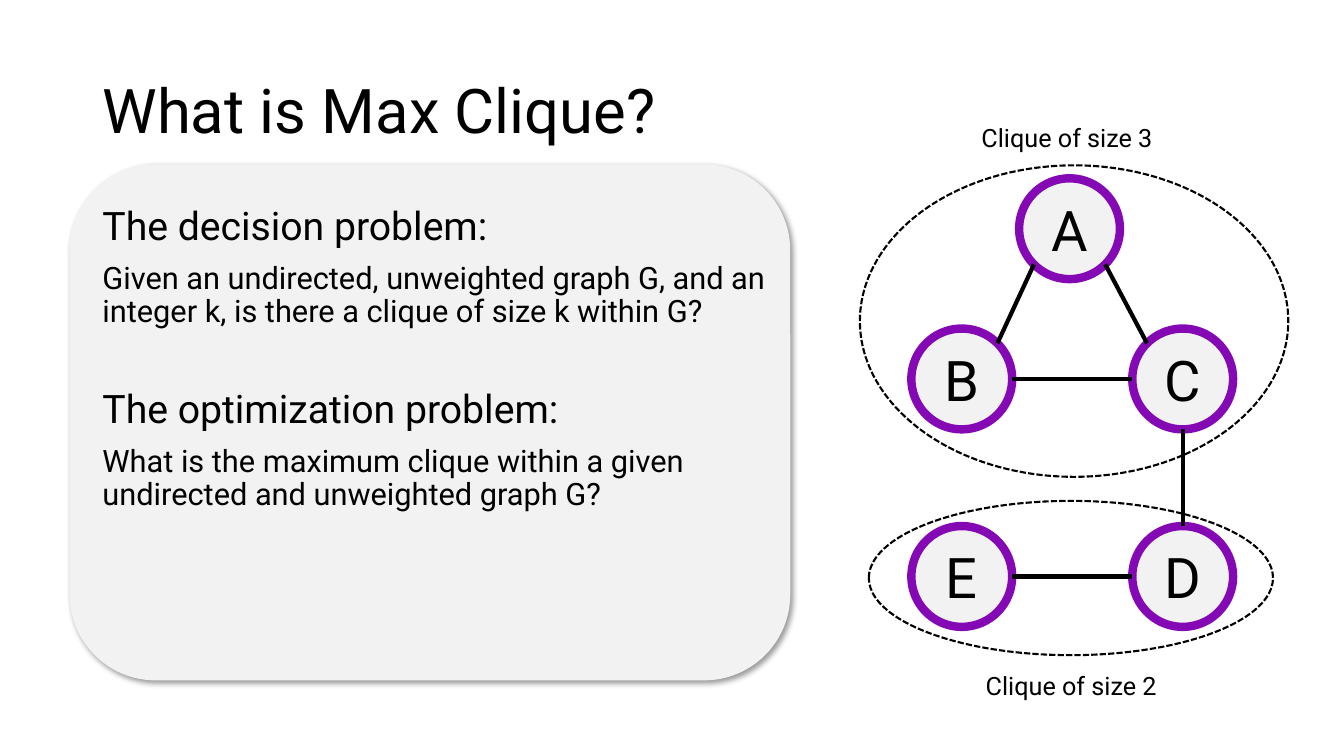
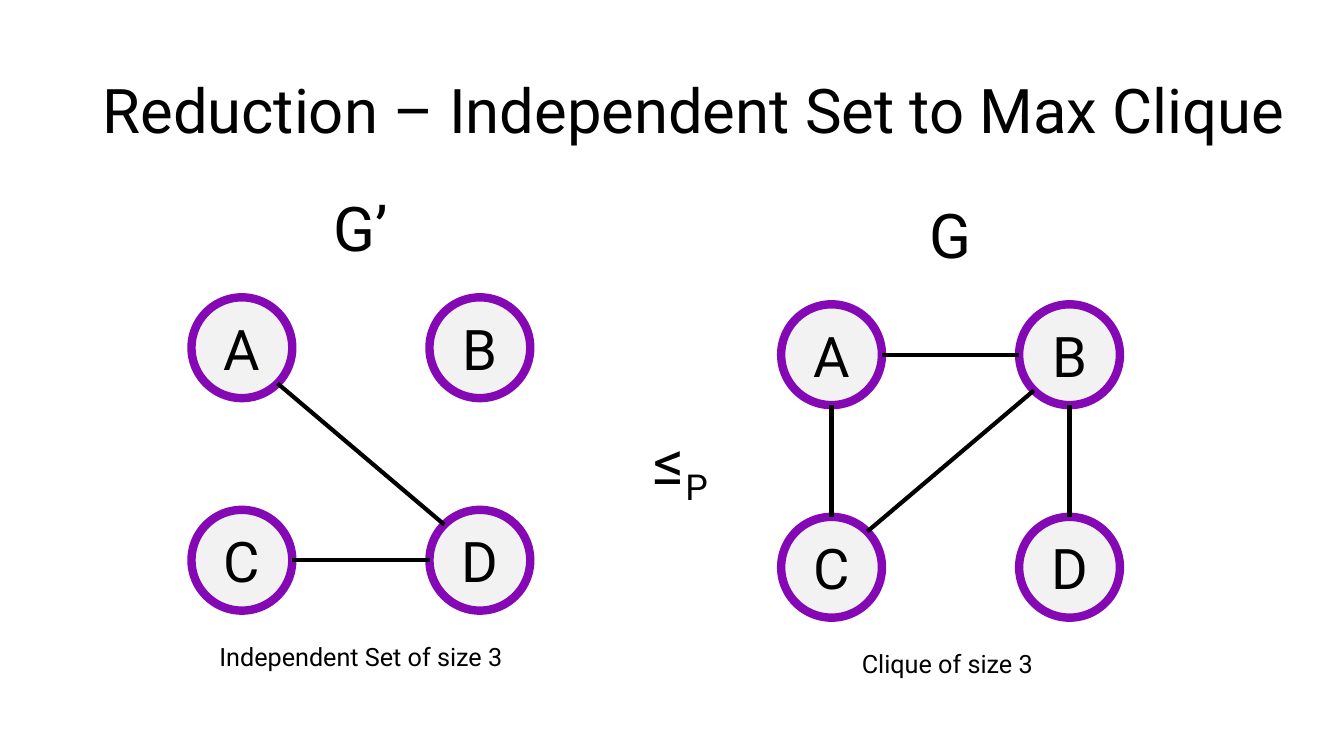
from math import atan2, cos, pi, sin

from lxml.etree import SubElement
from pptx import Presentation
from pptx.dml.color import RGBColor
from pptx.enum.dml import MSO_LINE
from pptx.enum.shapes import MSO_CONNECTOR as Connector, MSO_SHAPE as Shape
from pptx.enum.text import MSO_ANCHOR as Anchor, MSO_AUTO_SIZE as AutoSize, PP_ALIGN as Align
from pptx.oxml.ns import qn
from pptx.util import Pt

FONT = "Roboto"
BLACK = "000000"
LIGHT = "F2F2F2"
PURPLE = "8409B5"
RADIUS = 36
HEADING_SIZE = 44
NODE_SIZE = 40
CAPTION_SIZE = 18


def rgb(hex_color):
    return RGBColor.from_string(hex_color)


def box(left, top, width, height):
    return Pt(left), Pt(top), Pt(width), Pt(height)


def place(shape, left, top, width, height):
    shape.left, shape.top, shape.width, shape.height = box(left, top, width, height)


def style_paragraph(paragraph, size, align=Align.LEFT):
    paragraph.alignment = align
    for run in paragraph.runs:
        run.font.name = FONT
        run.font.size = Pt(size)
        run.font.color.rgb = rgb(BLACK)


def add_text(shapes, text, area, size, align=Align.LEFT, anchor=Anchor.TOP):
    frame = shapes.add_textbox(*box(*area)).text_frame
    frame.word_wrap = True
    frame.vertical_anchor = anchor
    frame.text = text
    style_paragraph(frame.paragraphs[0], size, align)
    return frame.paragraphs[0]


def set_title(slide, text, width):
    title = slide.shapes.title
    place(title, 66, 28.8, width, 104.4)
    frame = title.text_frame
    frame.text = text
    frame.auto_size = AutoSize.NONE
    frame.vertical_anchor = Anchor.MIDDLE
    frame.paragraphs[0].line_spacing = 0.9
    style_paragraph(frame.paragraphs[0], HEADING_SIZE)


def add_panel(slide, area):
    panel = slide.shapes.add_shape(Shape.ROUNDED_RECTANGLE, *box(*area))
    panel.fill.solid()
    panel.fill.fore_color.rgb = rgb(LIGHT)
    panel.line.fill.background()
    panel.shadow.inherit = False
    effects = panel._element.spPr.find(qn("a:effectLst"))
    shadow = SubElement(effects, qn("a:outerShdw"), blurRad=str(Pt(4)), dist=str(Pt(3)),
                        dir="2700000", algn="tl", rotWithShape="0")
    tint = SubElement(shadow, qn("a:srgbClr"), val=BLACK)
    SubElement(tint, qn("a:alpha"), val="40000")
    slide.shapes._spTree.remove(panel._element)
    slide.shapes._spTree.insert(2, panel._element)


def set_body(slide, area, entries):
    body = slide.placeholders[1]
    place(body, *area)
    frame = body.text_frame
    frame.text = "\n".join(text for text, _, _ in entries)
    frame.auto_size = AutoSize.NONE
    for paragraph, (_, size, gap) in zip(frame.paragraphs, entries):
        style_paragraph(paragraph, size)
        paragraph.line_spacing = 0.9
        paragraph.space_before = Pt(gap)
        properties = paragraph._p.get_or_add_pPr()
        properties.set("marL", "0")
        properties.set("indent", "0")
        SubElement(properties, qn("a:buNone"))


def add_node(shapes, label, center):
    x, y = center
    node = shapes.add_shape(Shape.OVAL, *box(x - RADIUS, y - RADIUS, 2 * RADIUS, 2 * RADIUS))
    node.shadow.inherit = False
    node.fill.solid()
    node.fill.fore_color.rgb = rgb(LIGHT)
    node.line.color.rgb = rgb(PURPLE)
    node.line.width = Pt(6)
    node.text_frame.vertical_anchor = Anchor.MIDDLE
    node.text_frame.text = label
    style_paragraph(node.text_frame.paragraphs[0], NODE_SIZE, Align.CENTER)


def add_edge(shapes, start, end):
    direction = atan2(end[1] - start[1], end[0] - start[0])
    angle = round(direction / (pi / 4)) * pi / 4
    dx, dy = RADIUS * cos(angle), RADIUS * sin(angle)
    edge = shapes.add_connector(Connector.STRAIGHT, Pt(start[0] + dx), Pt(start[1] + dy),
                                Pt(end[0] - dx), Pt(end[1] - dy))
    edge.line.color.rgb = rgb(BLACK)
    edge.line.width = Pt(3)
    SubElement(edge._element.spPr, qn("a:effectLst"))


def add_graph(shapes, nodes, edges):
    for label, center in nodes.items():
        add_node(shapes, label, center)
    for start, end in edges:
        add_edge(shapes, nodes[start], nodes[end])


def add_clique_ring(shapes, area):
    ring = shapes.add_shape(Shape.OVAL, *box(*area))
    ring.shadow.inherit = False
    ring.fill.background()
    ring.line.color.rgb = rgb(BLACK)
    ring.line.width = Pt(1.5)
    ring.line.dash_style = MSO_LINE.SQUARE_DOT


def add_square_graph(slide, name, left, top, edges, caption, caption_width, caption_align):
    group = slide.shapes.add_group_shape().shapes
    step_x, step_y = 170, 151.8
    nodes = {label: (left + step_x * (i % 2), top + step_y * (i // 2))
             for i, label in enumerate("ABCD")}
    add_graph(group, nodes, edges)
    middle = left + step_x / 2
    heading = add_text(group, name, (middle - 33.5, top - 135, 67, 104.4),
                       HEADING_SIZE, Align.CENTER, Anchor.MIDDLE)
    heading.line_spacing = 0.9
    add_text(group, caption, (middle - caption_width / 2, top + 206.4, caption_width, 28.8),
             CAPTION_SIZE, caption_align)


def build_definition(slide):
    add_panel(slide, (49.7, 117.4, 514.8, 368.6))
    set_title(slide, "What is Max Clique?", 498)
    set_body(slide, (66, 144, 498, 342.7), [
        ("The decision problem:", 28, 10),
        ("Given an undirected, unweighted graph G, and an integer k, "
         "is there a clique of size k within G?", 22, 10),
        ("The optimization problem:", 28, 43),
        ("What is the maximum clique within a given undirected and unweighted graph G?", 22, 10),
    ])
    group = slide.shapes.add_group_shape().shapes
    left, right, middle_row, bottom_row = 687, 844.8, 270.7, 411.8
    nodes = {"A": (764, 163.4), "B": (left, middle_row), "C": (right, middle_row),
             "D": (right, bottom_row), "E": (left, bottom_row)}
    add_graph(group, nodes, ["AB", "AC", "BC", "CD", "ED"])
    add_clique_ring(group, (614.2, 118.1, 306, 222.5))
    add_clique_ring(group, (620.6, 357.8, 288.7, 110.2))
    add_text(group, "Clique of size 3", (694, 84.2, 141, 28.8), CAPTION_SIZE)
    add_text(group, "Clique of size 2", (697, 475.2, 141, 28.8), CAPTION_SIZE)


def build_reduction(slide):
    set_title(slide, "Reduction – Independent Set to Max Clique", 886)
    add_square_graph(slide, "G’", 172.8, 248.4, ["AD", "CD"],
                     "Independent Set of size 3", 228, Align.CENTER)
    add_square_graph(slide, "G", 594, 253.4, ["AB", "AC", "BC", "BD"],
                     "Clique of size 3", 141, Align.LEFT)
    relation = add_text(slide.shapes, "≤", (450.7, 298.8, 71.3, 60.5),
                        HEADING_SIZE, Align.CENTER)
    subscript = relation.add_run()
    subscript.text = "P"
    style_paragraph(relation, HEADING_SIZE, Align.CENTER)
    subscript._r.get_or_add_rPr().set("baseline", "-25000")


def main():
    deck = Presentation()
    deck.slide_width, deck.slide_height = Pt(960), Pt(540)
    title_and_body, title_only = deck.slide_layouts[1], deck.slide_layouts[5]
    build_definition(deck.slides.add_slide(title_and_body))
    build_reduction(deck.slides.add_slide(title_only))
    deck.save("out.pptx")


if __name__ == "__main__":
    main()
